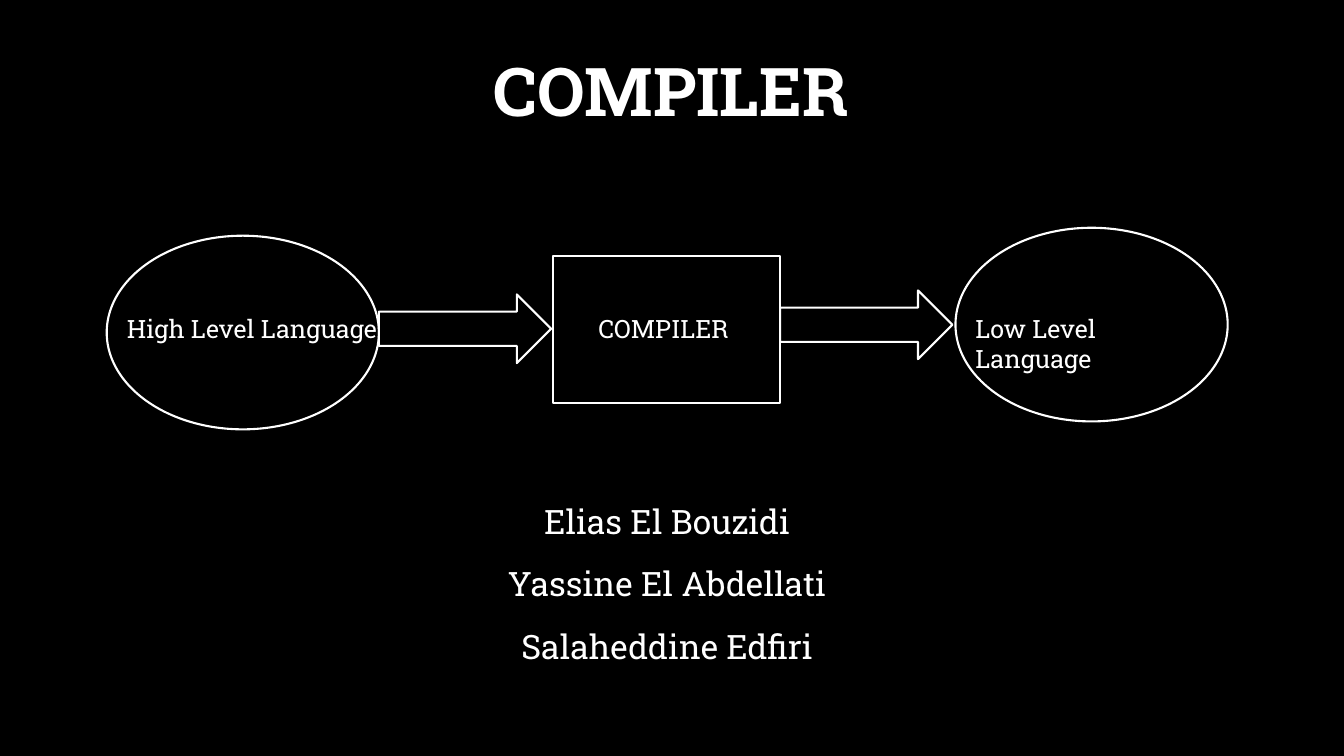
from pptx import Presentation
from pptx.dml.color import RGBColor
from pptx.enum.shapes import MSO_SHAPE
from pptx.enum.text import MSO_ANCHOR, MSO_AUTO_SIZE, PP_ALIGN
from pptx.util import Cm, Pt

BLACK = RGBColor(0x00, 0x00, 0x00)
WHITE = RGBColor(0xFF, 0xFF, 0xFF)
FONT = "Roboto Slab"
ELLIPSE = MSO_SHAPE.OVAL
ARROW = MSO_SHAPE.RIGHT_ARROW
RECTANGLE = MSO_SHAPE.RECTANGLE
CENTER = PP_ALIGN.CENTER
TOP, BOTTOM = MSO_ANCHOR.TOP, MSO_ANCHOR.BOTTOM
NO_AUTOFIT, GROW = MSO_AUTO_SIZE.NONE, MSO_AUTO_SIZE.SHAPE_TO_FIT_TEXT

AUTHORS = ["Elias El Bouzidi", "Yassine El Abdellati", "Salaheddine Edfiri"]
LABEL_TOP, LABEL_HEIGHT = 2.03, 1.02
STAGES = [
    (ELLIPSE, 0, 0.2, 6.86, 4.88),
    (ARROW, 6.86, 1.68, 4.34, 1.73),
    (RECTANGLE, 11.25, 0.71, 5.72, 3.71),
    (ARROW, 16.97, 1.58, 4.34, 1.73),
    (ELLIPSE, 21.39, 0, 6.86, 4.88),
]
LABELS = [
    ("High Level Language", 0.26, 6.86),
    ("COMPILER", 12.14, 5.84),
    ("Low Level Language", 21.64, 6.43),
]


def style_font(paragraph, size, bold=False):
    """Give a paragraph the deck's typeface in white."""
    font = paragraph.font
    font.name, font.size, font.bold = FONT, Pt(size), bold
    font.color.rgb = WHITE


def fill_placeholder(placeholder, lines, box, anchor, size, spacing, before, bold=False):
    """Move a placeholder to its box and write centred lines in it."""
    left, top, width, height = map(Cm, box)
    placeholder.left, placeholder.top = left, top
    placeholder.width, placeholder.height = width, height
    frame = placeholder.text_frame
    frame.text = "\n".join(lines)
    frame.auto_size = NO_AUTOFIT
    frame.vertical_anchor = anchor
    for paragraph in frame.paragraphs:
        paragraph.alignment = CENTER
        paragraph.line_spacing = spacing
        paragraph.space_before = Pt(before)
        style_font(paragraph, size, bold)


def add_stage(slide, kind, left, top, width, height):
    """Draw one white outlined shape of the flow."""
    stage = slide.shapes.add_shape(kind, Cm(left), Cm(top), Cm(width), Cm(height))
    stage.shadow.inherit = False
    stage.fill.background()
    stage.line.color.rgb = WHITE
    stage.line.width = Pt(1.5)


def add_label(slide, text, left, top, width):
    """Write the name of one stage."""
    label = slide.shapes.add_textbox(Cm(left), Cm(top), Cm(width), Cm(LABEL_HEIGHT))
    frame = label.text_frame
    frame.word_wrap = True
    frame.auto_size = GROW
    frame.text = text
    style_font(frame.paragraphs[0], 18)


def add_flow(slide, left, top):
    """Draw the path from high to low level language from a corner."""
    for kind, x, y, width, height in STAGES:
        add_stage(slide, kind, left + x, top + y, width, height)
    for text, x, width in LABELS:
        add_label(slide, text, left + x, top + LABEL_TOP, width)


def build_cover(deck):
    """Build the cover with title, authors and compiler flow."""
    slide = deck.slides.add_slide(deck.slide_layouts[0])
    slide.background.fill.solid()
    slide.background.fill.fore_color.rgb = BLACK
    fill_placeholder(slide.shapes.title, ["COMPILER"], (4.42, -3.2, 24.99, 6.63),
                     BOTTOM, 48, 0.9, 0, bold=True)
    fill_placeholder(slide.placeholders[1], AUTHORS, (8.53, 12.29, 16.56, 4.6),
                     TOP, 24, 1.2, 10)
    add_flow(slide, 2.69, 5.74)


def main():
    """Create the deck and save it."""
    deck = Presentation()
    deck.slide_width, deck.slide_height = Cm(33.87), Cm(19.05)
    build_cover(deck)
    deck.save("out.pptx")


if __name__ == "__main__":
    main()
